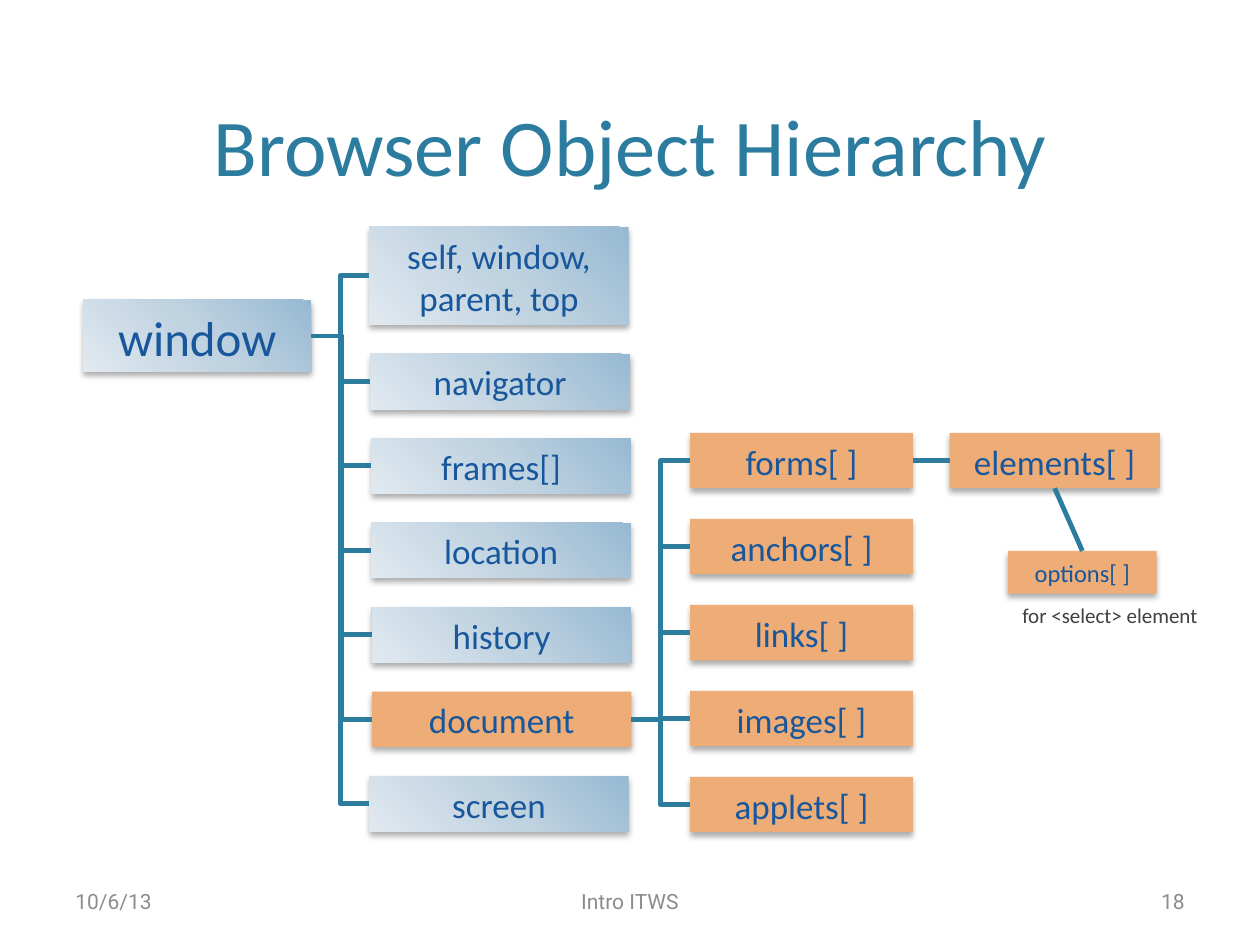
from copy import deepcopy
from dataclasses import dataclass

from lxml.etree import SubElement
from pptx import Presentation
from pptx.dml.color import RGBColor
from pptx.enum.shapes import MSO_CONNECTOR, MSO_SHAPE
from pptx.enum.text import MSO_ANCHOR, MSO_AUTO_SIZE, PP_ALIGN
from pptx.oxml.ns import qn
from pptx.util import Pt

COLORS = {
    "title": "2C7C9F",
    "line": "2C7C9F",
    "text": "18579B",
    "note": "404040",
    "footer": "8C8C8C",
    "orange": "EEAC77",
    "blue_dark": "97B9D2",
    "blue_mid": "C0D3E1",
    "blue_light": "E1E9F0",
    "shadow": "000000",
}
BLUES = ("blue_dark", "blue_mid", "blue_light")
LEFT, CENTER, RIGHT = PP_ALIGN.LEFT, PP_ALIGN.CENTER, PP_ALIGN.RIGHT
TOP_SITE, LEFT_SITE, BOTTOM_SITE, RIGHT_SITE = range(4)
ROW_H = 31.6


@dataclass
class Node:
    text: str
    x: float
    y: float
    w: float
    h: float = ROW_H
    size: float = 20
    orange: bool = False


@dataclass
class Label:
    text: str
    x: float
    y: float
    w: float
    h: float
    size: float
    font: str
    color: str
    align: PP_ALIGN = CENTER
    anchor: MSO_ANCHOR = MSO_ANCHOR.MIDDLE
    wrap: bool = True


def rgb(name: str) -> RGBColor:
    """Return a named colour."""
    return RGBColor.from_string(COLORS[name])


def set_text(sp, text: str, size: float, font: str, color: str,
             align: PP_ALIGN, anchor: MSO_ANCHOR, wrap: bool = True) -> None:
    """Write one styled paragraph into a shape."""
    tf = sp.text_frame
    tf.word_wrap = wrap
    tf.vertical_anchor = anchor
    p = tf.paragraphs[0]
    p.text = text
    p.alignment = align
    p.font.size = Pt(size)
    p.font.name = font
    p.font.color.rgb = rgb(color)


def add_shadow(sp) -> None:
    """Give a shape a soft shadow below it."""
    sp.shadow.inherit = False
    effects = sp._element.spPr.find(qn("a:effectLst"))
    shadow = SubElement(effects, qn("a:outerShdw"), blurRad=str(Pt(3.5)),
                        dist=str(Pt(2.2)), dir="5400000", rotWithShape="0")
    color = SubElement(shadow, qn("a:srgbClr"), val=COLORS["shadow"])
    SubElement(color, qn("a:alpha"), val="32000")


def fill_blue(sp) -> None:
    """Fill a shape with the three-stop blue gradient."""
    sp.fill.gradient()
    sp.fill.gradient_angle = 225
    stops = sp._element.spPr.find(".//" + qn("a:gsLst"))
    stops.insert(1, deepcopy(stops[0]))
    for i, (stop, name) in enumerate(zip(sp.fill.gradient_stops, BLUES)):
        stop.position = i / 2
        stop.color.rgb = rgb(name)


def add_node(s, node: Node):
    """Draw one object of the hierarchy."""
    sp = s.shapes.add_shape(MSO_SHAPE.RECTANGLE, Pt(node.x), Pt(node.y),
                            Pt(node.w), Pt(node.h))
    if node.orange:
        sp.fill.solid()
        sp.fill.fore_color.rgb = rgb("orange")
    else:
        fill_blue(sp)
    sp.line.fill.background()
    add_shadow(sp)
    set_text(sp, node.text, node.size, "Calibri", "text", CENTER, MSO_ANCHOR.BOTTOM)
    sp.text_frame.auto_size = MSO_AUTO_SIZE.SHAPE_TO_FIT_TEXT
    return sp


def add_label(s, label: Label) -> None:
    """Draw one free-standing text."""
    sp = s.shapes.add_textbox(Pt(label.x), Pt(label.y), Pt(label.w), Pt(label.h))
    set_text(sp, label.text, label.size, label.font, label.color,
             label.align, label.anchor, label.wrap)


def link(s, parent, child, kind=MSO_CONNECTOR.ELBOW,
         start: int = RIGHT_SITE, end: int = LEFT_SITE) -> None:
    """Join two objects with a connector."""
    c = s.shapes.add_connector(kind, 0, 0, 0, 0)
    c.begin_connect(parent, start)
    c.end_connect(child, end)
    c.line.color.rgb = rgb("line")
    c.line.width = Pt(2.75)
    SubElement(c._element.spPr, qn("a:effectLst"))


WINDOW = Node("window", 47.5, 171.4, 130.3, 41.2, 28)
SELF = Node("self, window, parent, top", 211, 129.6, 148.3, 55.8)
ROWS = [("navigator", 211.7), ("frames[]", 212.2), ("location", 212.2),
        ("history", 212.5), ("document", 212.5), ("screen", 211)]
PROPERTIES = [SELF] + [
    Node(text, x, 202.2 + 48.25 * i, 148.3, orange=text == "document")
    for i, (text, x) in enumerate(ROWS)
]
MEMBERS = [
    Node(f"{text}[ ]", 394.4, 247.4 + 49.15 * i, 127.2, orange=True)
    for i, text in enumerate(["forms", "anchors", "links", "images", "applets"])
]
ELEMENTS = Node("elements[ ]", 542.6, 247.4, 120.2, orange=True)
OPTIONS = Node("options[ ]", 576, 314.8, 85, 24.4, 14, True)
LABELS = [
    Label("Browser Object Hierarchy", 43.2, 8.6, 633.6, 105.1, 46, "Calibri",
          "title", anchor=MSO_ANCHOR.BOTTOM),
    Label("for <select> element", 569.5, 340.6, 129.6, 21.8, 12, "Calibri",
          "note", anchor=MSO_ANCHOR.BOTTOM, wrap=False),
    Label("10/6/13", 36, 500.5, 168, 28.75, 12, "Roboto", "footer", LEFT),
    Label("Intro ITWS", 246, 500.5, 228, 28.75, 12, "Roboto", "footer"),
    Label("18", 516, 500.5, 168, 28.75, 12, "Roboto", "footer", RIGHT),
]


def main() -> None:
    """Build the slide and save it."""
    prs = Presentation()
    prs.slide_width, prs.slide_height = Pt(720), Pt(540)
    s = prs.slides.add_slide(prs.slide_layouts[6])
    for label in LABELS:
        add_label(s, label)
    window = add_node(s, WINDOW)
    properties = {n.text: add_node(s, n) for n in PROPERTIES}
    members = {n.text: add_node(s, n) for n in MEMBERS}
    elements, options = add_node(s, ELEMENTS), add_node(s, OPTIONS)
    for sp in properties.values():
        link(s, window, sp)
    for sp in members.values():
        link(s, properties["document"], sp)
    link(s, members["forms[ ]"], elements, MSO_CONNECTOR.STRAIGHT)
    link(s, elements, options, MSO_CONNECTOR.STRAIGHT, BOTTOM_SITE, TOP_SITE)
    prs.save("out.pptx")


if __name__ == "__main__":
    main()
